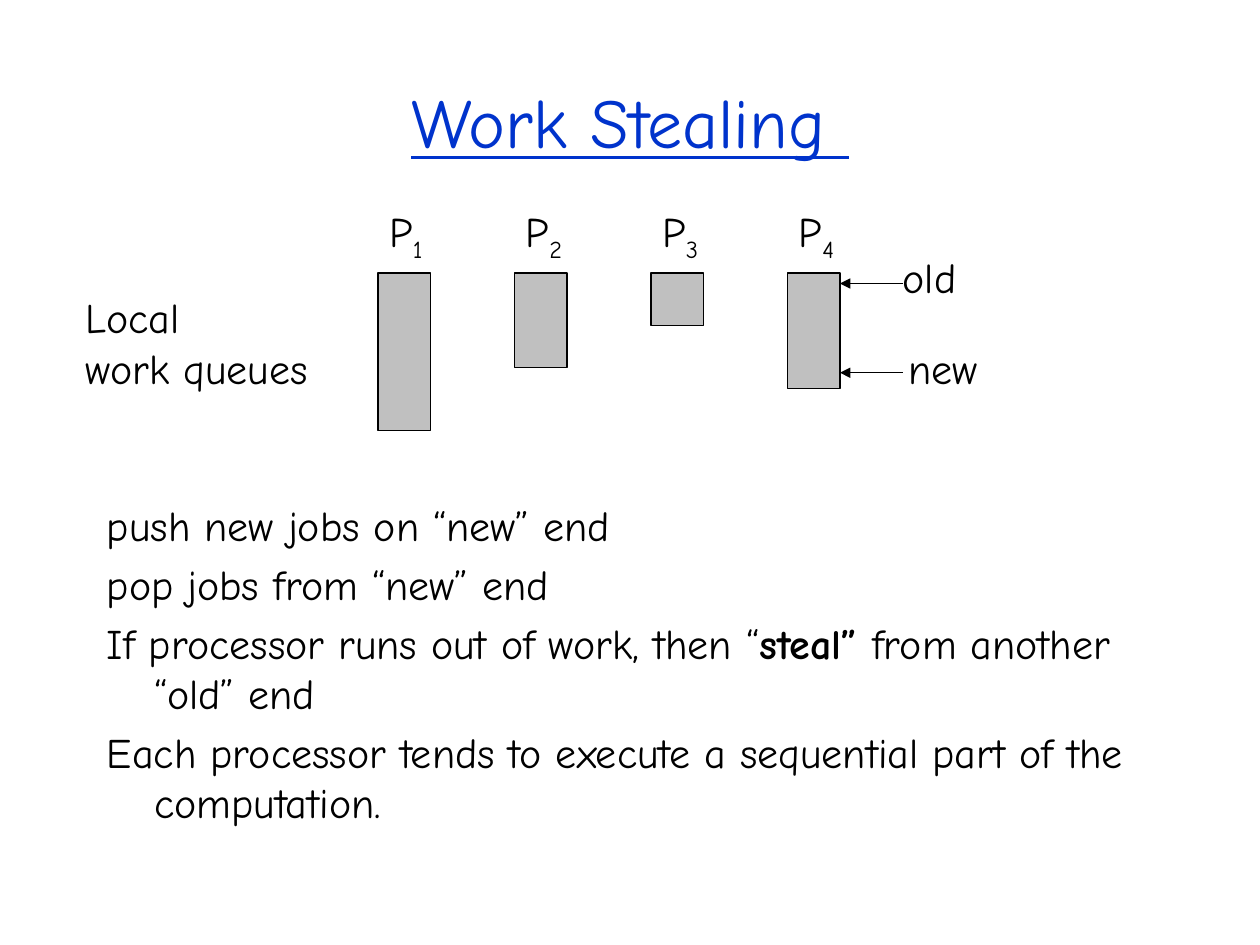
import pptx
import pptx.util
import pptx.dml.color
import pptx.enum.shapes
import pptx.enum.text
import pptx.oxml.ns
from lxml import etree

PX = 7620  # EMU per px, 120 px to the inch
FONT = "Comic Neue"
COLORS = {"title": "0033CC", "text": "000000", "queue": "C0C0C0", "line": "000000"}
ANCHOR = pptx.enum.text.MSO_ANCHOR
ALIGN = pptx.enum.text.PP_ALIGN


def rgb(name):
    return pptx.dml.color.RGBColor.from_string(COLORS[name])


def sub(parent, tag, **attrs):
    return etree.SubElement(parent, pptx.oxml.ns.qn(tag), **attrs)


class Deck:
    def __init__(self, width, height):
        self.prs = pptx.Presentation()
        self.prs.slide_width = width * PX
        self.prs.slide_height = height * PX
        self.s = self.prs.slides.add_slide(self.prs.slide_layouts[6])

    def text(self, x, y, w, h, paragraphs, size=24, color="text", wrap=False,
             align=ALIGN.LEFT, anchor=ANCHOR.TOP, hang=0, before=0):
        """Each paragraph is a list of (text, style) runs; style is "", "b", "u" or "sub"."""
        sp = self.s.shapes.add_textbox(x * PX, y * PX, w * PX, h * PX)
        tf = sp.text_frame
        tf.word_wrap = wrap
        tf.vertical_anchor = anchor
        for i, runs in enumerate(paragraphs):
            p = tf.paragraphs[0] if i == 0 else tf.add_paragraph()
            p.alignment = align
            p.space_before = pptx.util.Pt(before)
            if hang:
                pPr = p._p.get_or_add_pPr()
                pPr.set("marL", str(hang * PX))
                pPr.set("indent", str(-hang * PX))
            for words, style in runs:
                r = p.add_run()
                r.text = words
                r.font.name = FONT
                r.font.size = pptx.util.Pt(size)
                r.font.color.rgb = rgb(color)
                r.font.bold = style == "b"
                r.font.underline = style == "u"
                if style == "sub":
                    r._r.get_or_add_rPr().set("baseline", "-25000")

    def box(self, x, y, w, h):
        sp = self.s.shapes.add_shape(pptx.enum.shapes.MSO_SHAPE.RECTANGLE,
                                     x * PX, y * PX, w * PX, h * PX)
        sp.shadow.inherit = False
        sp.fill.solid()
        sp.fill.fore_color.rgb = rgb("queue")
        sp.line.color.rgb = rgb("line")
        sp.line.width = pptx.util.Pt(0.75)

    def arrow(self, x1, y1, x2, y2):
        c = self.s.shapes.add_connector(pptx.enum.shapes.MSO_CONNECTOR.STRAIGHT,
                                        x1 * PX, y1 * PX, x2 * PX, y2 * PX)
        c.line.color.rgb = rgb("line")
        c.line.width = pptx.util.Pt(0.75)
        sub(c.line._get_or_add_ln(), "a:tailEnd", type="triangle")
        sub(c._element.spPr, "a:effectLst")

    def save(self):
        self.prs.save("out.pptx")


def main():
    deck = Deck(1200, 900)

    # Title
    deck.text(90, 60, 1020, 110, [[("Work Stealing ", "u")]], size=40, color="title",
              wrap=True, align=ALIGN.CENTER, anchor=ANCHOR.MIDDLE)

    # Rules of work stealing
    deck.text(90, 470, 1020, 330, [
        [("push new jobs on “new” end", "")],
        [("pop jobs from “new” end", "")],
        [("If processor runs out of work, then “", ""), ("steal” ", "b"),
         ("from another “old” end", "")],
        [("Each processor tends to execute a sequential part of the computation.", "")],
    ], wrap=True, hang=45, before=4.8)

    # Processors and their queues
    left, top, width, pitch = 360, 260, 50, 130
    for i, height in enumerate((150, 90, 50, 110)):
        x = left + i * pitch
        deck.box(x, top, width, height)
        deck.text(x - 1, 190, 61, 60, [[("P", ""), (str(i + 1), "sub")]])

    # Ends of the last queue
    edge = left + 3 * pitch + width
    for label, x, y, w, arrow_y in (("old", 848, 234, 77, 270), ("new", 853, 320, 97, 355)):
        deck.text(x, y, w, 60, [[(label, "")]])
        deck.arrow(edge + 60, arrow_y, edge, arrow_y)

    # Queue caption
    deck.text(70, 272, 250, 108, [[("Local", "")], [("work queues", "")]])

    deck.save()


if __name__ == "__main__":
    main()
